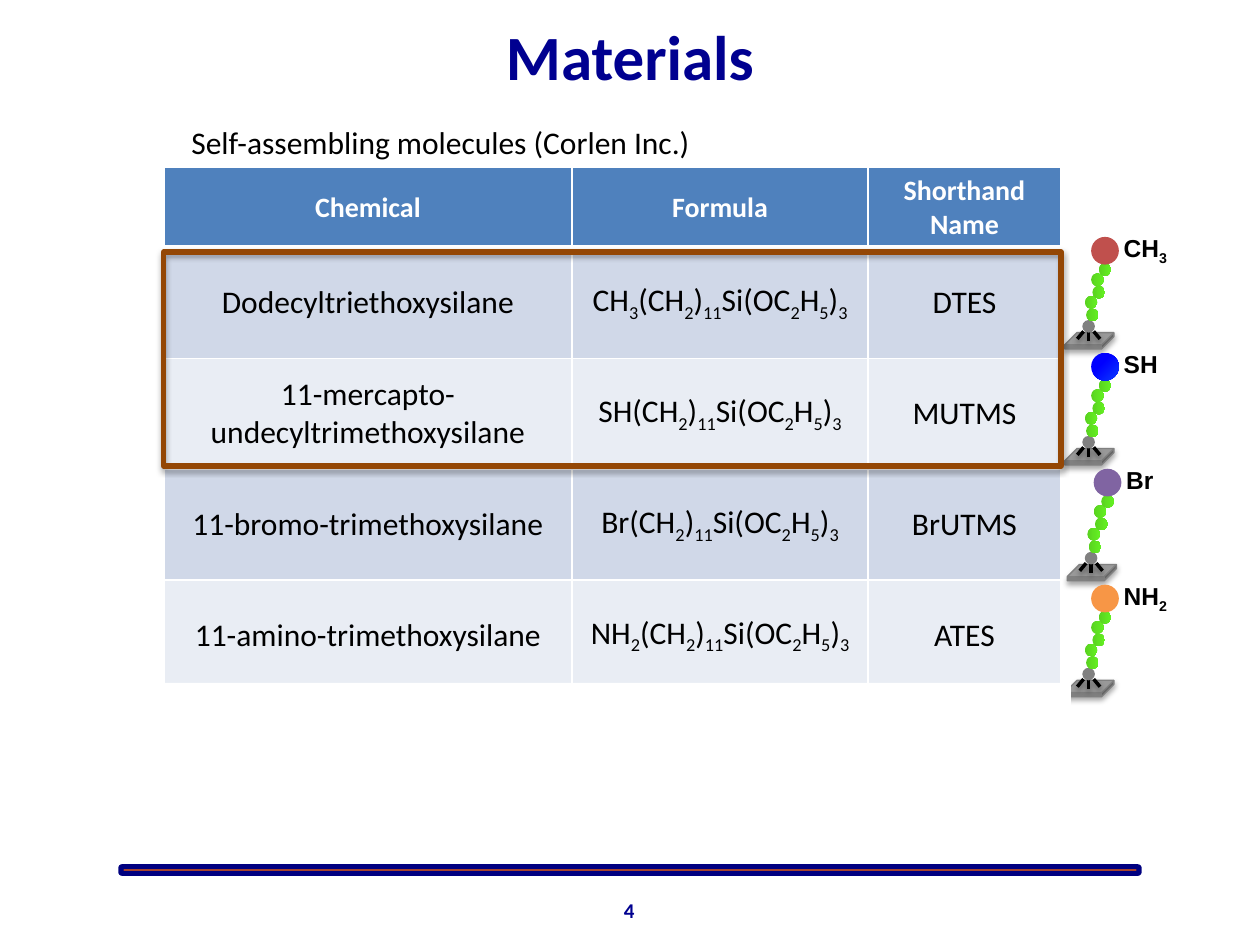
from pptx import Presentation
from pptx.dml.color import RGBColor
from pptx.enum.shapes import MSO_CONNECTOR, MSO_SHAPE
from pptx.enum.text import MSO_ANCHOR, PP_ALIGN
from pptx.oxml import parse_xml
from pptx.oxml.ns import nsdecls
from pptx.util import Inches, Pt

LINE = MSO_CONNECTOR.STRAIGHT
RECT, ROUND = MSO_SHAPE.RECTANGLE, MSO_SHAPE.ROUNDED_RECTANGLE
CUBE, DOT = MSO_SHAPE.CUBE, MSO_SHAPE.FLOWCHART_CONNECTOR
TOP, MID = MSO_ANCHOR.TOP, MSO_ANCHOR.MIDDLE
LEFT, MIDDLE = PP_ALIGN.LEFT, PP_ALIGN.CENTER

COLORS = {
    "white": "FFFFFF", "black": "000000", "title": "000090", "navy": "000080",
    "orange": "FF6600", "head": "4F81BD", "odd": "D0D8E8", "even": "E9EDF4",
    "frame": "944705", "gray": "808080", "lime": "59D220", "leaf": "64F022",
    "red": "C0504D", "blue": "0000FF", "sky": "0B3BFF", "plum": "8064A2",
    "amber": "F79646",
}


def rgb(name):
    return RGBColor.from_string(COLORS[name])


class Board:
    """Holds the slide and its style on a grid of 100 columns by 75 rows."""

    def __init__(self, deck, font="Calibri"):
        self.slide = deck.slides.add_slide(deck.slide_layouts[6])
        self.shapes = self.slide.shapes
        self.font = font
        self.unit = deck.slide_width / 100

    def grid(self, *cells):
        return [round(cell * self.unit) for cell in cells]

    def label(self, frame, text, size, color="black", bold=False,
              align=MIDDLE, font=None):
        """Fill a frame; every second part between underscores is a subscript."""
        para = frame.paragraphs[0]
        para.alignment = align
        style = para.font
        style.name, style.size, style.bold = font or self.font, Pt(size), bold
        style.color.rgb = rgb(color)
        for i, part in enumerate(text.split("_")):
            if part:
                run = para.add_run()
                run.text = part
                if i % 2:
                    run._r.get_or_add_rPr().set("baseline", "-25000")

    def text(self, box, text, size, anchor=TOP, **style):
        frame = self.shapes.add_textbox(*self.grid(*box)).text_frame
        frame.word_wrap = True
        frame.vertical_anchor = anchor
        self.label(frame, text, size, **style)

    def shade(self, item, alpha):
        item.element.spPr.append(parse_xml(
            f'<a:effectLst {nsdecls("a")}><a:outerShdw blurRad="40000" '
            'dist="23000" dir="5400000" rotWithShape="0">'
            f'<a:srgbClr val="000000"><a:alpha val="{alpha}000"/></a:srgbClr>'
            '</a:outerShdw></a:effectLst>'))

    def shape(self, kind, box, fill=None, line=None, width=1, adj=None,
              shade=False, start=0, angle=0):
        item = self.shapes.add_shape(kind, *self.grid(*box))
        if adj is not None:
            item.adjustments[0] = adj
        if isinstance(fill, tuple):
            item.fill.gradient()
            item.fill.gradient_angle = angle
            for stop, name, pos in zip(item.fill.gradient_stops, fill, (start, 1)):
                stop.color.rgb, stop.position = rgb(name), pos
        elif fill:
            item.fill.solid()
            item.fill.fore_color.rgb = rgb(fill)
        else:
            item.fill.background()
        if line:
            item.line.color.rgb, item.line.width = rgb(line), Pt(width)
        else:
            item.line.fill.background()
        if shade:
            self.shade(item, 35)
        else:
            item.shadow.inherit = False

    def rule(self, ends, width):
        item = self.shapes.add_connector(LINE, *self.grid(*ends))
        item.line.color.rgb, item.line.width = rgb("black"), Pt(width)
        self.shade(item, 38)

    def edge(self, cell, sides):
        props = cell._tc.get_or_add_tcPr()
        for i, (side, width) in enumerate(sides.items()):
            props.insert(i, parse_xml(
                f'<a:ln{side} {nsdecls("a")} w="{Pt(width)}"><a:solidFill>'
                f'<a:srgbClr val="{COLORS["white"]}"/></a:solidFill></a:ln{side}>'))

    def table(self, spot, cols, rows, data):
        size = (sum(cols), sum(rows))
        table = self.shapes.add_table(
            len(rows), len(cols), *self.grid(*spot, *size)).table
        for col, width in zip(table.columns, self.grid(*cols)):
            col.width = width
        for row, height in zip(table.rows, self.grid(*rows)):
            row.height = height
        for r, line in enumerate(data):
            head = r == 0
            fill = "head" if head else "odd" if r % 2 else "even"
            for c, text in enumerate(line):
                cell = table.cell(r, c)
                cell.vertical_anchor = MID
                cell.fill.solid()
                cell.fill.fore_color.rgb = rgb(fill)
                self.edge(cell, {"L": 1, "R": 1, "T": 3 if r == 1 else 1,
                                 "B": 3 if head else 1})
                self.label(cell.text_frame, text, 16 if head else 18,
                           "white" if head else "black", head)

    def chain(self, x, y, end, fill, **blend):
        """Draw a molecule standing on a base with its top left at x, y."""
        self.shape(CUBE, (x, y, 3.9, 1.3), "gray", "gray", 0.75, 0.75, True)
        for x1, y1, x2, y2 in ((1.5, -.1, 1, .5), (1.9, -.2, 1.9, .7),
                               (2.3, -.1, 2.8, .5)):
            self.rule((x + x1, y + y1, x + x2, y + y2), 2)
        self.shape(DOT, (x + 1.4, y - 1, 1, 1), "gray")
        for dx, dy in ((1.7, 1.9), (1.6, 2.9), (2.2, 3.7), (2.1, 4.7), (2.7, 5.5)):
            self.shape(DOT, (x + dx, y - dy, 1, 1), ("lime", "leaf"))
        self.shape(DOT, (x + 2.1, y - 7.6, 2.2, 2.2), fill, **blend)
        self.text((x + 3.7, y - 8.4, 7.7, 3.4), end, 14,
                  bold=True, align=LEFT, font="Arial")


def main():
    deck = Presentation()
    deck.slide_width, deck.slide_height = Inches(10), Inches(7.5)
    board = Board(deck)

    # Footer bar and page number
    board.shape(ROUND, (9.6, 68.8, 80.8, 0.5), "orange", "navy", 3, 0.17)
    board.text((38.3, 70.2, 23.3, 4), "4", 12, MID, color="title", bold=True)

    # Title and caption
    board.text((5, 0.5, 90, 7.8), "Materials", 36, MID, color="title", bold=True)
    board.text((14.2, 9.3, 83.5, 4),
               "Self-assembling molecules (Corlen Inc.)", 18, align=LEFT)

    # Table of chemicals
    items = [("Dodecyltriethoxysilane", "CH_3_", "DTES"),
             ("11-mercapto-undecyltrimethoxysilane", "SH", "MUTMS"),
             ("11-bromo-trimethoxysilane", "Br", "BrUTMS"),
             ("11-amino-trimethoxysilane", "NH_2_", "ATES")]
    data = [("Chemical", "Formula", "Shorthand Name")]
    data += [(name, f"{end}(CH_2_)_11_Si(OC_2_H_5_)_3", short)
             for name, end, short in items]
    board.table((13, 13.3), (32.4, 23.5, 15.3), [6.3] + [8.8] * 4, data)

    # Molecules beside the rows
    blends = [{"fill": "red"},
              {"fill": ("blue", "sky"), "start": 0.38, "angle": 315},
              {"fill": "plum"}, {"fill": "amber"}]
    for i, ((_, end, _), blend) in enumerate(zip(items, blends)):
        board.chain(84.7 if end == "Br" else 84.5, 26.4 + 9.2 * i, end, **blend)

    # Frame around the first two chemicals, white panel below the table
    board.shape(RECT, (13, 20, 71.2, 17), line="frame", width=3, shade=True)
    board.shape(RECT, (8.3, 54.2, 76.7, 13.9), "white")

    deck.save("out.pptx")


if __name__ == "__main__":
    main()
